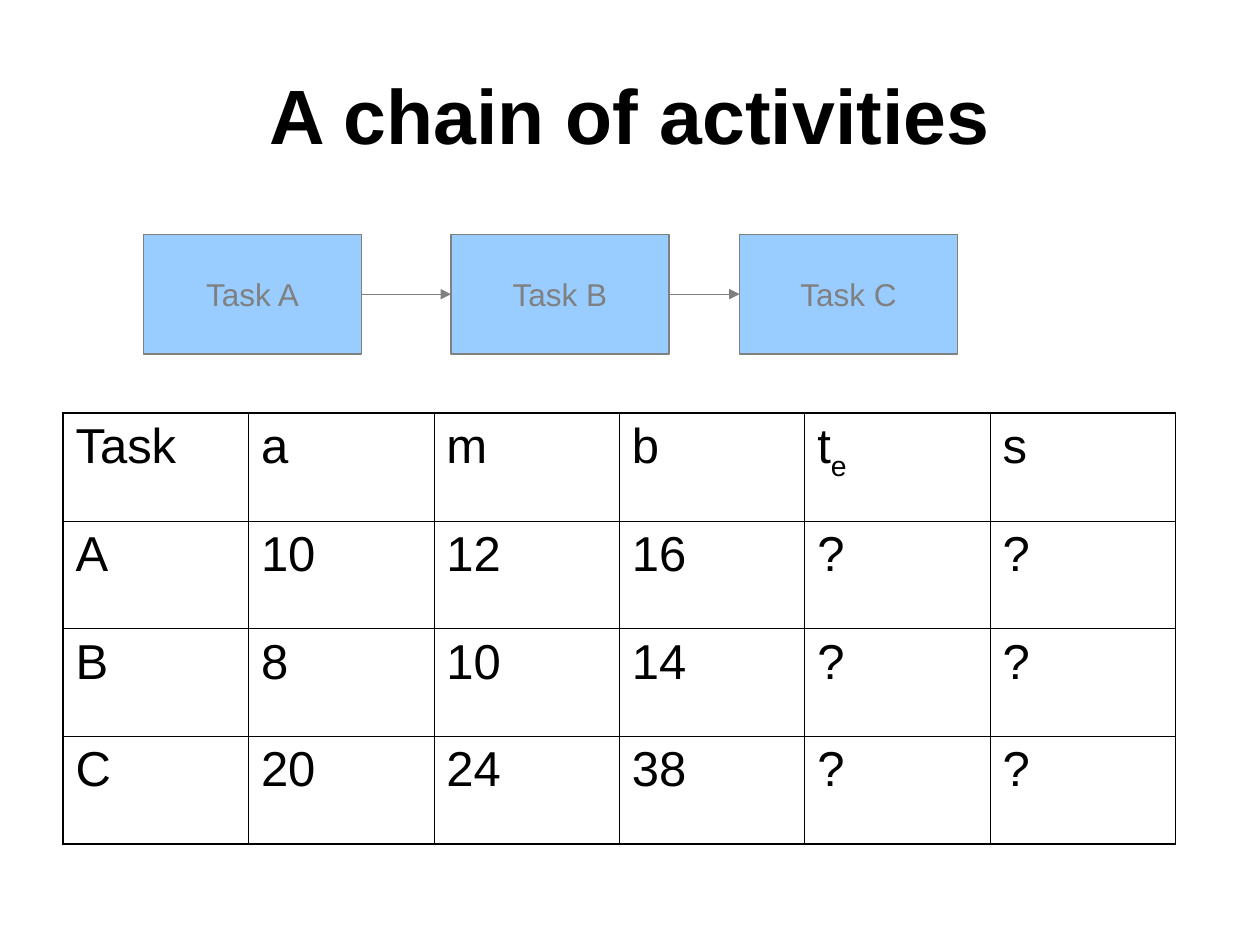
from dataclasses import dataclass
from itertools import pairwise, product
from typing import NamedTuple

from pptx import Presentation
from pptx.dml.color import RGBColor
from pptx.enum.shapes import MSO_CONNECTOR as Connector, MSO_SHAPE as Preset
from pptx.enum.text import MSO_ANCHOR as Anchor, MSO_AUTO_SIZE as AutoSize, PP_ALIGN as Align
from pptx.oxml.ns import qn
from pptx.util import Emu, Inches, Pt
from lxml.etree import SubElement

COLUMNS, ROWS = 100, 75
WIDTH, HEIGHT = Inches(10), Inches(7.5)
LEFT_SIDE, RIGHT_SIDE = 1, 3


@dataclass(frozen=True)
class Theme:
    font: str = "Arial"
    ink: RGBColor = RGBColor(0, 0, 0)
    muted: RGBColor = RGBColor(0x80, 0x80, 0x80)
    task_fill: RGBColor = RGBColor(0x99, 0xCC, 0xFF)
    title_size: float = 44
    task_size: float = 18
    table_size: float = 28
    line: float = 0.75
    inner_border: float = 0.45
    outer_border: float = 1.08


class Area(NamedTuple):
    """A rectangle in grid columns and rows."""
    column: float
    row: float
    columns: float
    rows: float

    def lengths(self) -> list[Emu]:
        units = (WIDTH / COLUMNS, HEIGHT / ROWS) * 2
        return [Emu(round(cells * unit)) for cells, unit in zip(self, units)]


class Task(NamedTuple):
    name: str
    column: float
    estimates: tuple[str, str, str]


THEME = Theme()
TITLE_AREA = Area(7.5, 2.8, 85, 12.5)
TABLE_AREA = Area(5, 32.8, 88.3, 34.2)
TASK_ROW, TASK_COLUMNS, TASK_ROWS = 18.6, 17.3, 9.5
TASKS = [
    Task("A", 11.4, ("10", "12", "16")),
    Task("B", 35.8, ("8", "10", "14")),
    Task("C", 58.7, ("20", "24", "38")),
]
HEADINGS = ("Task", "a", "m", "b", "t_e", "s")


def add_run(paragraph, text: str, size: float, color: RGBColor, bold: bool = False):
    run = paragraph.add_run()
    run.text = text
    run.font.name = THEME.font
    run.font.size = Pt(size)
    run.font.bold = bold
    run.font.color.rgb = color
    return run


def draw_title(slide, text: str) -> None:
    title = slide.shapes.title
    title.left, title.top, title.width, title.height = TITLE_AREA.lengths()
    frame = title.text_frame
    frame.auto_size = AutoSize.NONE
    frame.vertical_anchor = Anchor.MIDDLE
    heading = frame.paragraphs[0]
    heading.alignment = Align.CENTER
    add_run(heading, text, THEME.title_size, THEME.ink, bold=True)


def draw_task(slide, task: Task):
    area = Area(task.column, TASK_ROW, TASK_COLUMNS, TASK_ROWS)
    box = slide.shapes.add_shape(Preset.RECTANGLE, *area.lengths())
    box.shadow.inherit = False
    box.fill.solid()
    box.fill.fore_color.rgb = THEME.task_fill
    box.line.color.rgb = THEME.muted
    box.line.width = Pt(THEME.line)
    frame = box.text_frame
    frame.word_wrap = False
    frame.vertical_anchor = Anchor.MIDDLE
    label = frame.paragraphs[0]
    label.alignment = Align.CENTER
    add_run(label, f"Task {task.name}", THEME.task_size, THEME.muted)
    return box


def draw_arrow(slide, before, after) -> None:
    arrow = slide.shapes.add_connector(Connector.STRAIGHT, 0, 0, 0, 0)
    arrow.begin_connect(before, RIGHT_SIDE)
    arrow.end_connect(after, LEFT_SIDE)
    arrow.line.color.rgb = THEME.muted
    arrow.line.width = Pt(THEME.line)
    SubElement(arrow.line._get_or_add_ln(), qn("a:tailEnd"), type="triangle")
    SubElement(arrow._element.spPr, qn("a:effectLst"))


def set_borders(cell, outer_sides: dict[str, bool]) -> None:
    """Border each side, heavier where it lies on the table's edge."""
    properties = cell._tc.get_or_add_tcPr()
    for position, (side, is_outer) in enumerate(outer_sides.items()):
        width = Pt(THEME.outer_border if is_outer else THEME.inner_border)
        border = SubElement(properties, qn(f"a:ln{side}"), w=str(width))
        fill = SubElement(border, qn("a:solidFill"))
        SubElement(fill, qn("a:srgbClr"), val=str(THEME.ink))
        properties.insert(position, border)


def write_cell(cell, text: str) -> None:
    """Write the text; what follows an underscore is a subscript."""
    base, _, subscript = text.partition("_")
    paragraph = cell.text_frame.paragraphs[0]
    add_run(paragraph, base, THEME.table_size, THEME.ink)
    if subscript:
        run = add_run(paragraph, subscript, THEME.table_size, THEME.ink)
        run._r.get_or_add_rPr().set("baseline", "-25000")


def draw_estimates(slide, rows: list[tuple[str, ...]]) -> None:
    row_count, column_count = len(rows), len(rows[0])
    frame = slide.shapes.add_table(row_count, column_count, *TABLE_AREA.lengths())
    table = frame.table
    table.first_row = table.horz_banding = False
    for r, c in product(range(row_count), range(column_count)):
        cell = table.cell(r, c)
        cell.fill.background()
        write_cell(cell, rows[r][c])
        set_borders(cell, {"L": c == 0, "R": c == column_count - 1,
                           "T": r == 0, "B": r == row_count - 1})


def main() -> None:
    deck = Presentation()
    deck.slide_width, deck.slide_height = WIDTH, HEIGHT
    slide = deck.slides.add_slide(deck.slide_layouts.get_by_name("Title Only"))
    draw_title(slide, "A chain of activities")
    boxes = [draw_task(slide, task) for task in TASKS]
    for before, after in pairwise(boxes):
        draw_arrow(slide, before, after)
    draw_estimates(slide, [HEADINGS, *((t.name, *t.estimates, "?", "?") for t in TASKS)])
    deck.save("out.pptx")


if __name__ == "__main__":
    main()
